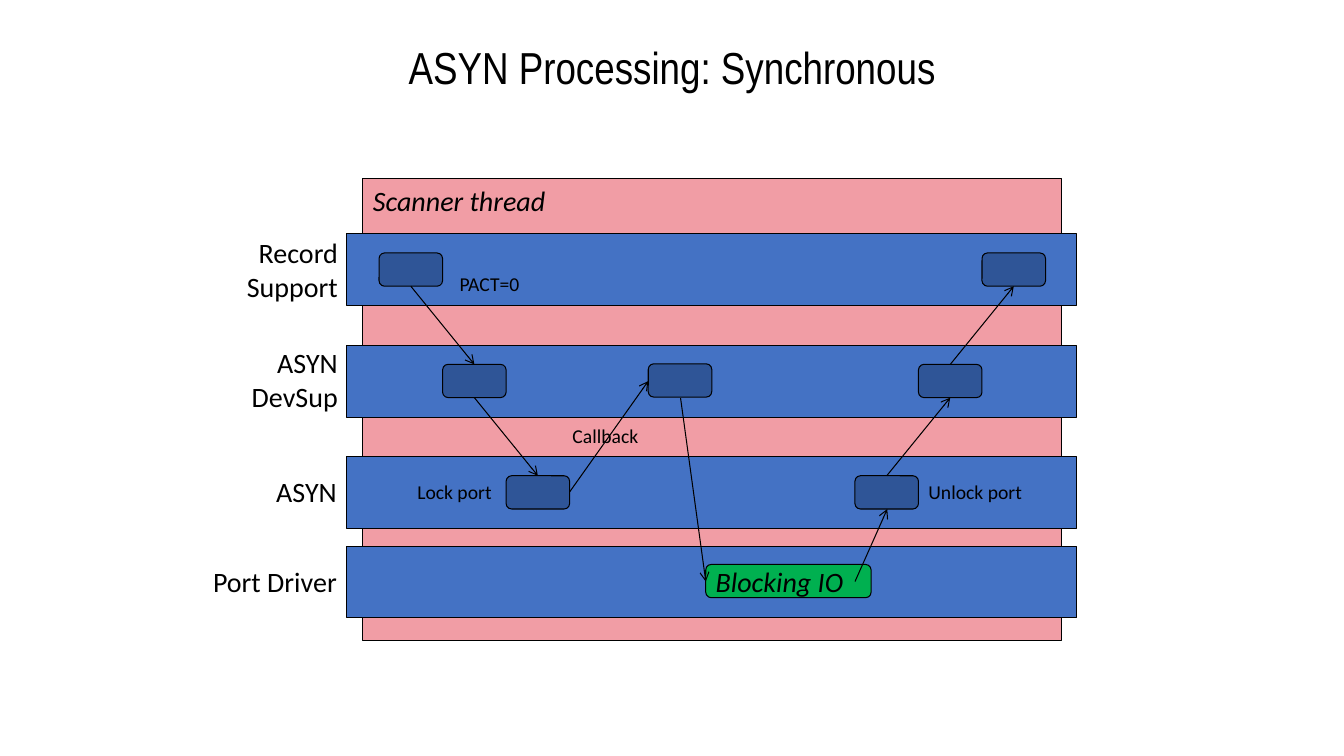
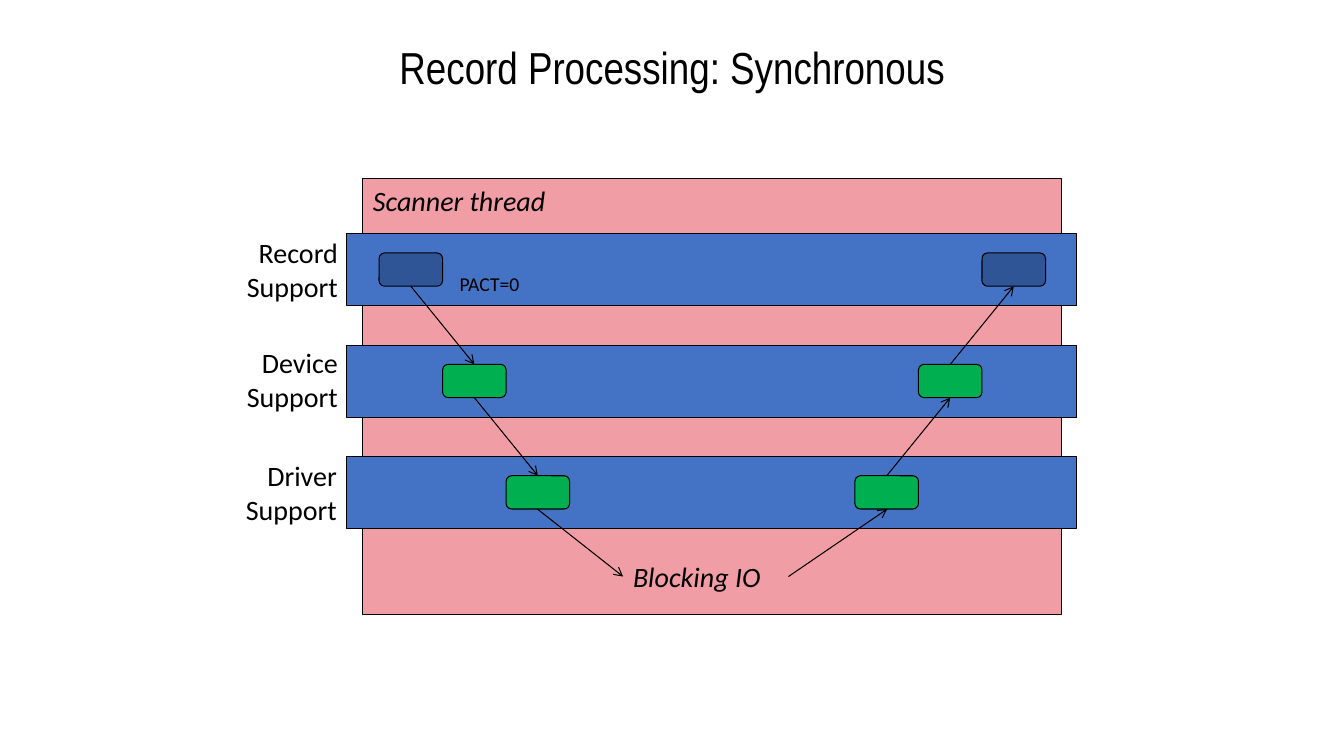
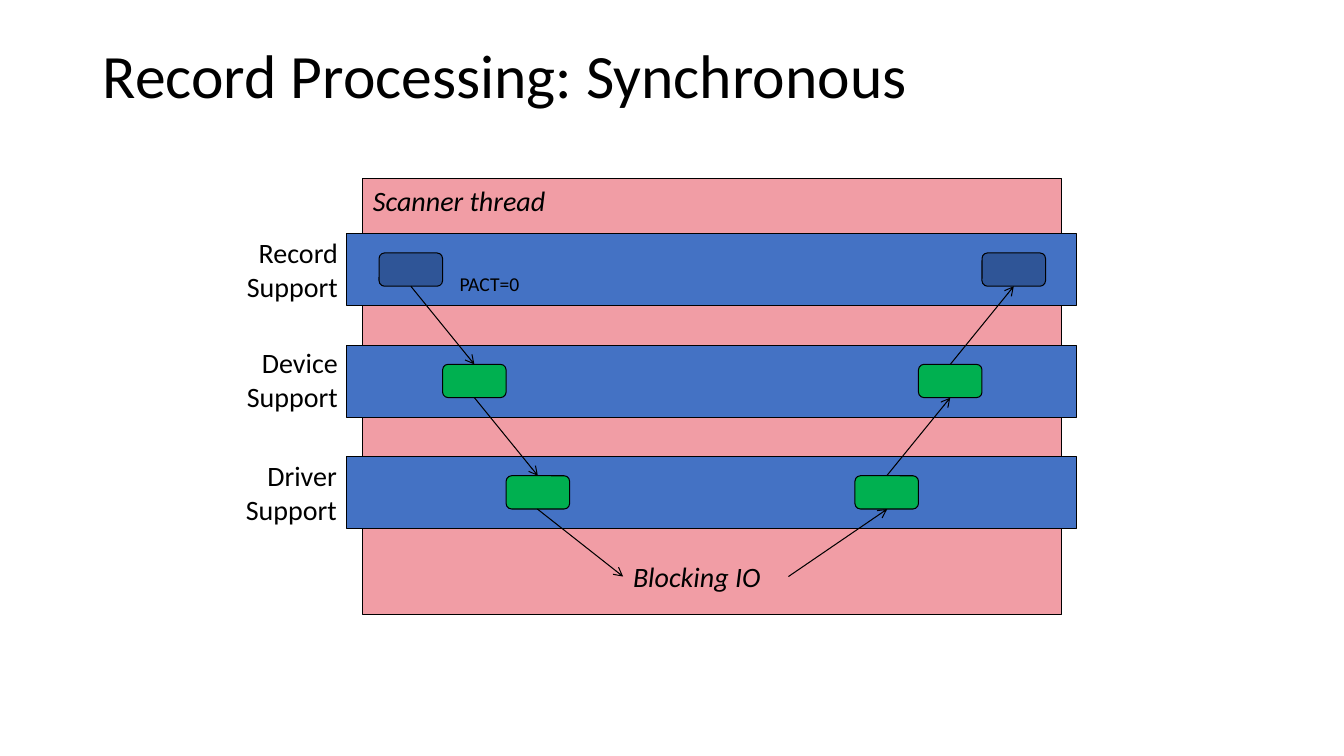
"""Build three slides that show synchronous record processing as layered call diagrams."""
import pptx
import pptx.dml.color
import pptx.enum.shapes
import pptx.enum.text
import pptx.oxml.ns
import pptx.util
import lxml.etree

Inches = pptx.util.Inches
Pt = pptx.util.Pt
ALIGN = pptx.enum.text.PP_ALIGN
ANCHOR = pptx.enum.text.MSO_ANCHOR
FIT = pptx.enum.text.MSO_AUTO_SIZE
SHAPE = pptx.enum.shapes.MSO_SHAPE
qn = pptx.oxml.ns.qn

COLORS = {
    "ink": "000000",
    "thread": "F19DA5",
    "layer": "4472C4",
    "step": "2F5597",
    "device": "00B050",
}
HEADING = {"name": "Calibri", "size": Pt(44)}
NARROW_HEADING = {"name": "Arial Narrow", "size": Pt(32)}
LAYER_NAME = {"name": "Calibri", "size": Pt(20)}
ACTIVITY = {"name": "Calibri", "size": Pt(20), "italic": True}
REMARK = {"name": "Calibri", "size": Pt(14)}

LAYER_TOP, LAYER_PITCH, LAYER_HEIGHT = 2.32, 1.105, 0.71
STEP_WIDTH, STEP_HEIGHT = 0.63, 0.33
STEP_TOP = LAYER_TOP + 0.19
DOWN_LEFT, UP_LEFT = 3.76, 9.74
HALF = STEP_WIDTH / 2

RECORD_DIAGRAM = {
    "thread_height": 4.33,
    "layers": [2.32, 3.43, 4.53],
    "names": [
        ("Record\vSupport", 2.34, 2.29, 1.11, 0.77),
        ("Device\vSupport", 2.34, 3.38, 1.11, 0.77),
        ("Driver\vSupport", 2.33, 4.5, 1.11, 0.77),
    ],
    "step_fills": ["step", "device", "device"],
    "extra_steps": [],
    "arrows": [(5.33, 5.05, 6.18, 5.72), (7.82, 5.72, 8.8, 5.05)],
    "blocking": (6.18, 5.5, 1.48, 0.44),
    "remarks": [],
}
ASYN_DIAGRAM = {
    "thread_height": 4.58,
    "layers": [2.32, 3.43, 4.53, 5.42],
    "names": [
        ("Record\vSupport", 2.34, 2.29, 1.11, 0.77),
        ("ASYN\vDevSup", 2.39, 3.38, 1.06, 0.77),
        ("ASYN", 2.63, 4.66, 0.81, 0.44),
        ("Port Driver", 2, 5.55, 1.44, 0.44),
    ],
    "step_fills": ["step"] * 3,
    "extra_steps": [
        ((6.43, 3.61, STEP_WIDTH, STEP_HEIGHT), "step"),
        ((7, 5.6, 1.64, STEP_HEIGHT), "device"),
    ],
    "arrows": [
        (5.65, 4.88, 6.43, 3.78),
        (6.75, 3.95, 7, 5.77),
        (8.48, 5.77, 8.8, 5.05),
    ],
    "blocking": (7, 5.55, 1.48, 0.44),
    "remarks": [
        ("Callback", 5.58, 4.16, 0.86, 0.34),
        ("Lock port", 4.04, 4.71, 0.95, 0.34),
        ("Unlock port", 9.11, 4.71, 1.14, 0.34),
    ],
}
SLIDES = [
    ("ASYN Processing: Synchronous", NARROW_HEADING, ALIGN.CENTER, ASYN_DIAGRAM),
    ("Record Processing: Synchronous", NARROW_HEADING, ALIGN.CENTER, RECORD_DIAGRAM),
    ("Record Processing: Synchronous", HEADING, ALIGN.LEFT, RECORD_DIAGRAM),
]


def add_block(page, kind, place, fill):
    block = page.shapes.add_shape(kind, *map(Inches, place))
    block.shadow.inherit = False
    block.fill.solid()
    block.fill.fore_color.rgb = pptx.dml.color.RGBColor.from_string(COLORS[fill])
    block.line.color.rgb = pptx.dml.color.RGBColor.from_string(COLORS["ink"])
    block.line.width = Pt(0.75)
    return block


def write_text(box, text, style, align=ALIGN.LEFT, wrap=False, fit=FIT.SHAPE_TO_FIT_TEXT):
    frame = box.text_frame
    frame.text = text
    frame.word_wrap = wrap
    frame.auto_size = fit
    frame.vertical_anchor = ANCHOR.TOP
    para = frame.paragraphs[0]
    para.alignment = align
    for span in para.runs:
        span.font.color.rgb = pptx.dml.color.RGBColor.from_string(COLORS["ink"])
        for key, value in style.items():
            setattr(span.font, key, value)
    return para


deck = pptx.Presentation()
deck.slide_width, deck.slide_height = Inches(13.33), Inches(7.5)

for heading, heading_style, heading_align, diagram in SLIDES:
    page = deck.slides.add_slide(deck.slide_layouts[5])
    title = page.shapes.title
    title.left, title.top, title.width, title.height = map(Inches, (0.92, 0.4, 11.5, 1.45))
    para = write_text(title, heading, heading_style, heading_align, True, FIT.NONE)
    para.line_spacing = 0.9

    thread = add_block(page, SHAPE.RECTANGLE, (3.6, 1.77, 6.93, diagram["thread_height"]), "thread")
    write_text(thread, "Scanner thread", ACTIVITY, wrap=True, fit=FIT.NONE)

    for top in diagram["layers"]:
        add_block(page, SHAPE.RECTANGLE, (3.44, top, 7.24, LAYER_HEIGHT), "layer")

    steps = list(diagram["extra_steps"])
    arrows = list(diagram["arrows"])
    for level, fill in enumerate(diagram["step_fills"]):
        top = STEP_TOP + level * LAYER_PITCH
        down = DOWN_LEFT + level * STEP_WIDTH
        up = UP_LEFT - level * STEP_WIDTH
        steps += [((left, top, STEP_WIDTH, STEP_HEIGHT), fill) for left in (down, up)]
        if level:
            above = top - LAYER_PITCH + STEP_HEIGHT
            arrows.append((down - HALF, above, down + HALF, top))
            arrows.append((up + HALF, top, up + 3 * HALF, above))

    for place, fill in steps:
        add_block(page, SHAPE.ROUNDED_RECTANGLE, place, fill)

    labels = [(name, LAYER_NAME, ALIGN.RIGHT, place) for name, *place in diagram["names"]]
    labels += [(remark, REMARK, ALIGN.LEFT, place) for remark, *place in diagram["remarks"]]
    labels.append(("PACT=0", REMARK, ALIGN.LEFT, (4.46, 2.65, 0.8, 0.34)))
    labels.append(("Blocking IO", ACTIVITY, ALIGN.LEFT, diagram["blocking"]))
    for text, style, align, place in labels:
        box = page.shapes.add_textbox(*map(Inches, place))
        write_text(box, text, style, align)

    for ends in arrows:
        arrow = page.shapes.add_connector(
            pptx.enum.shapes.MSO_CONNECTOR.STRAIGHT, *map(Inches, ends)
        )
        arrow.line.color.rgb = pptx.dml.color.RGBColor.from_string(COLORS["ink"])
        arrow.line.width = Pt(0.75)
        properties = arrow.line._get_or_add_ln()
        lxml.etree.SubElement(properties, qn("a:tailEnd"), type="arrow")
        lxml.etree.SubElement(properties.getparent(), qn("a:effectLst"))

deck.save("out.pptx")
